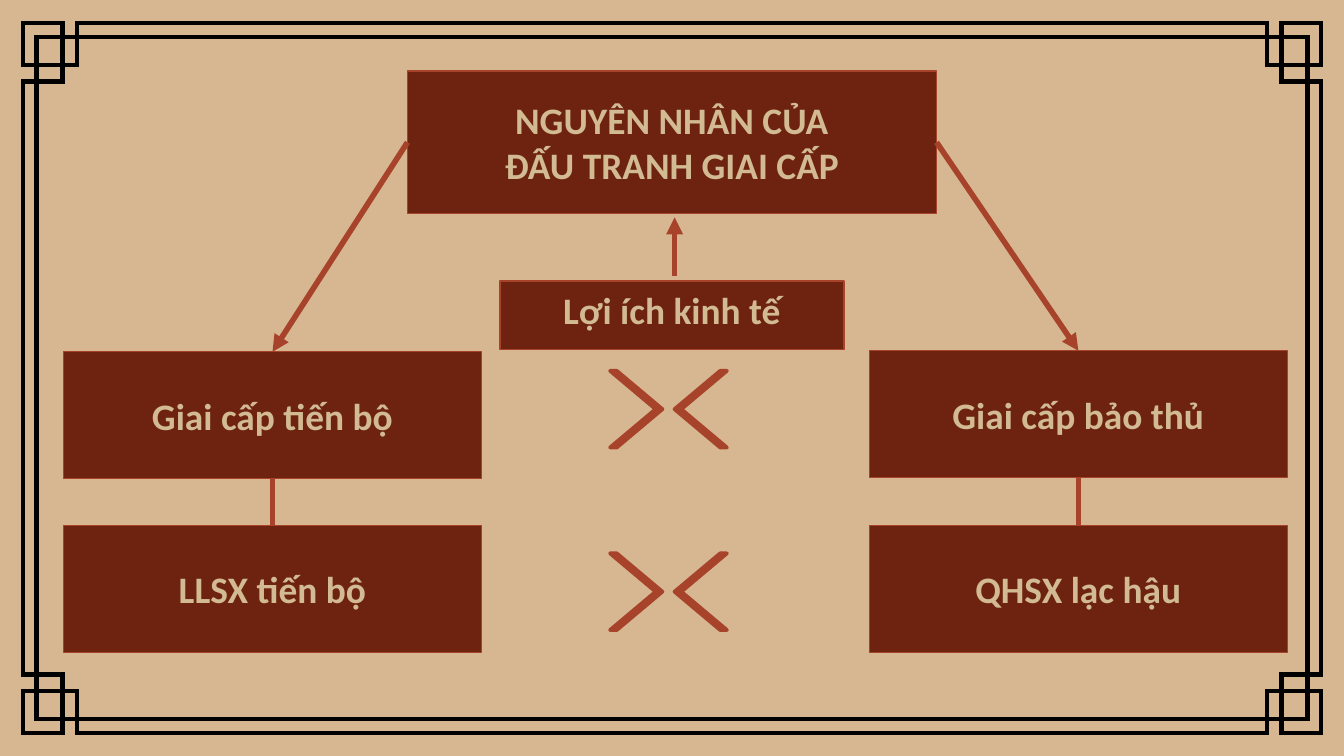
import pptx
import pptx.util
import pptx.dml.color
import pptx.enum.shapes
import pptx.enum.text
import pptx.oxml
import pptx.oxml.ns

Cm = pptx.util.Cm
Pt = pptx.util.Pt
RGBColor = pptx.dml.color.RGBColor
SHAPE = pptx.enum.shapes.MSO_SHAPE
ANCHOR = pptx.enum.text.MSO_ANCHOR

SAND = RGBColor(0xD6, 0xB7, 0x91)
CREAM = RGBColor(0xD2, 0xBA, 0x93)
MAROON = RGBColor(0x6E, 0x23, 0x11)
RUST = RGBColor(0xA8, 0x43, 0x2B)
BLACK = RGBColor(0, 0, 0)

WIDTH, HEIGHT = 25.4, 14.29
TOP, LEFT, BOTTOM, RIGHT = range(4)  # connection sites of a rectangle


def add_xml(parent, tag):
    return pptx.oxml.ns.qn(tag) and parent.append(
        parent.makeelement(pptx.oxml.ns.qn(tag), {}))


def mirrored(points):
    """Carry the points of the top left corner clockwise round the slide."""
    top_right = [(WIDTH - x, y) for x, y in reversed(points)]
    top = points + top_right
    return top + [(x, HEIGHT - y) for x, y in reversed(top)]


def add_frame(slide):
    """Draw the border: inner rectangle, notched outer line, corner squares."""
    notch = [(0.44, 1.54), (1.18, 1.54), (1.18, 1.23), (1.46, 1.23), (1.46, 0.44)]
    contours = [mirrored([(0.69, 0.7)]), mirrored(notch)]
    square = [(0.44, 0.44), (1.18, 0.44), (1.18, 1.23), (0.44, 1.23)]
    for flip_x in (False, True):
        for flip_y in (False, True):
            contours.append([(WIDTH - x if flip_x else x,
                              HEIGHT - y if flip_y else y) for x, y in square])

    builder = None
    for contour in contours:
        start, *rest = [(Cm(x), Cm(y)) for x, y in contour]
        if builder is None:
            builder = slide.shapes.build_freeform(*start, scale=1.0)
        else:
            builder.move_to(*start)
        builder.add_line_segments(rest, close=True)
    s = builder.convert_to_shape()
    s.shadow.inherit = False
    s.fill.background()
    s.line.color.rgb = BLACK
    s.line.width = Pt(2.3)
    add_xml(s.line._get_or_add_ln(), "a:miter")


def add_filled(slide, kind, place, fill, line_width):
    s = slide.shapes.add_shape(kind, *[Cm(v) for v in place])
    s.shadow.inherit = False
    s.fill.solid()
    s.fill.fore_color.rgb = fill
    s.line.color.rgb = RUST
    s.line.width = Pt(line_width)
    return s


def add_box(slide, lines, place, anchor=ANCHOR.MIDDLE):
    s = add_filled(slide, SHAPE.RECTANGLE, place, MAROON, 0.75)
    tf = s.text_frame
    tf.word_wrap = True
    tf.vertical_anchor = anchor
    for i, line in enumerate(lines):
        p = tf.add_paragraph() if i else tf.paragraphs[0]
        p.alignment = pptx.enum.text.PP_ALIGN.CENTER
        r = p.add_run()
        r.text = line
        r.font.name = "Calibri"
        r.font.size = Pt(20)
        r.font.bold = True
        r.font.color.rgb = CREAM
    return s


def add_line(slide, start=(0, 0), end=(0, 0), arrow=False):
    s = slide.shapes.add_connector(pptx.enum.shapes.MSO_CONNECTOR.STRAIGHT,
                                   *[Cm(v) for v in (*start, *end)])
    s.line.color.rgb = RUST
    s.line.width = Pt(3)
    if arrow:
        ln = s.line._get_or_add_ln()
        add_xml(ln, "a:tailEnd")
        ln[-1].set("type", "triangle")
    add_xml(s._element.spPr, "a:effectLst")
    return s


def join(slide, first, first_site, second, second_site, arrow=False):
    s = add_line(slide, arrow=arrow)
    s.begin_connect(first, first_site)
    s.end_connect(second, second_site)


def add_clash(slide, top):
    """Draw two chevrons whose points meet."""
    for left, flipped in ((11.53, False), (12.75, True)):
        s = add_filled(slide, SHAPE.CHEVRON, (left, top, 0.99, 1.45), RUST, 2)
        s.adjustments[0] = 0.871
        if flipped:
            s._element.spPr.get_or_add_xfrm().set("flipH", "1")


def main():
    prs = pptx.Presentation()
    prs.slide_width, prs.slide_height = Cm(WIDTH), Cm(HEIGHT)
    slide = prs.slides.add_slide(prs.slide_layouts[6])
    slide.background.fill.solid()
    slide.background.fill.fore_color.rgb = SAND
    add_frame(slide)

    title = add_box(slide, ["NGUYÊN NHÂN CỦA", "ĐẤU TRANH GIAI CẤP"],
                    (7.7, 1.34, 10, 2.7))
    interest = add_box(slide, ["Lợi ích kinh tế"], (9.45, 5.31, 6.5, 1.3), ANCHOR.TOP)
    interest.text_frame.auto_size = pptx.enum.text.MSO_AUTO_SIZE.SHAPE_TO_FIT_TEXT
    add_line(slide, (12.75, 5.21), (12.75, 4.11), arrow=True)

    sides = [
        (1.2, 6.65, LEFT, "Giai cấp tiến bộ", "LLSX tiến bộ"),
        (16.43, 6.63, RIGHT, "Giai cấp bảo thủ", "QHSX lạc hậu"),
    ]
    for left, top, title_site, class_name, basis_name in sides:
        social_class = add_box(slide, [class_name], (left, top, 7.9, 2.4))
        basis = add_box(slide, [basis_name], (left, 9.93, 7.9, 2.4))
        join(slide, title, title_site, social_class, TOP, arrow=True)
        join(slide, basis, TOP, social_class, BOTTOM)

    for top in (7.01, 10.46):
        add_clash(slide, top)

    prs.save("out.pptx")


if __name__ == "__main__":
    main()
